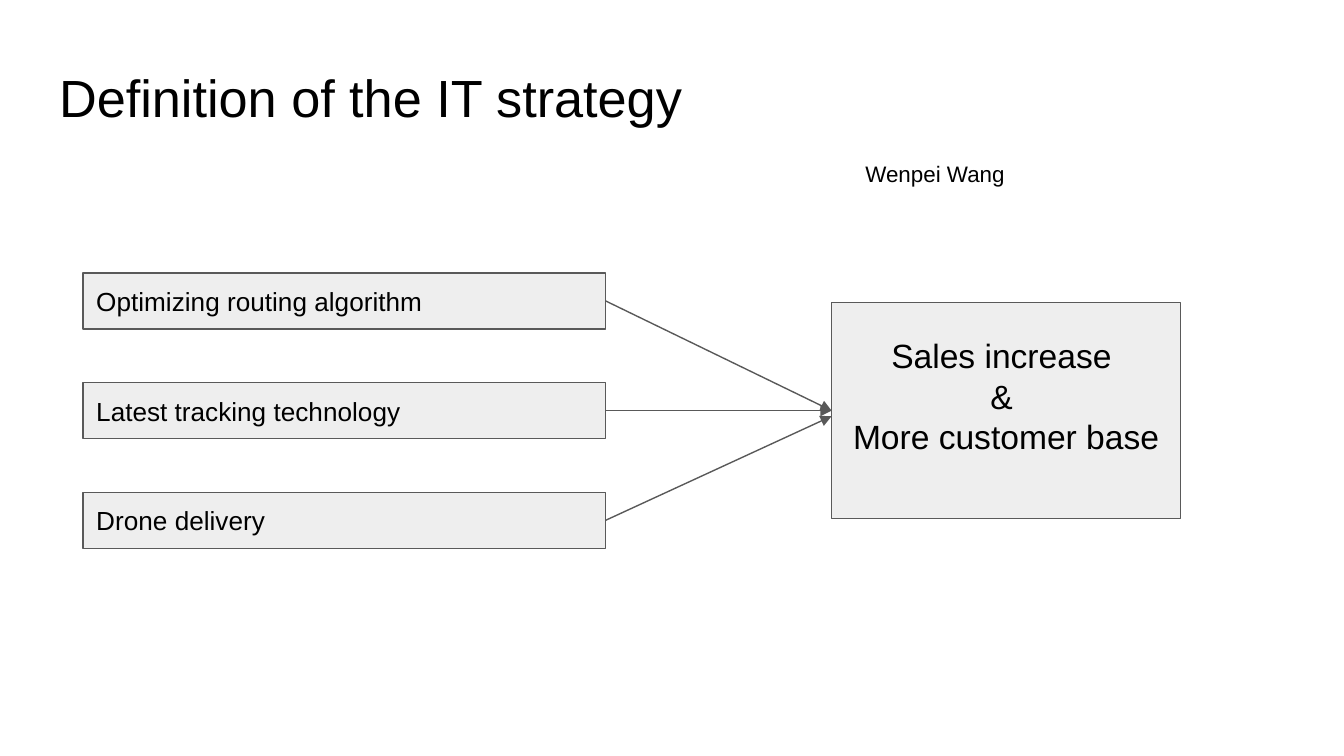
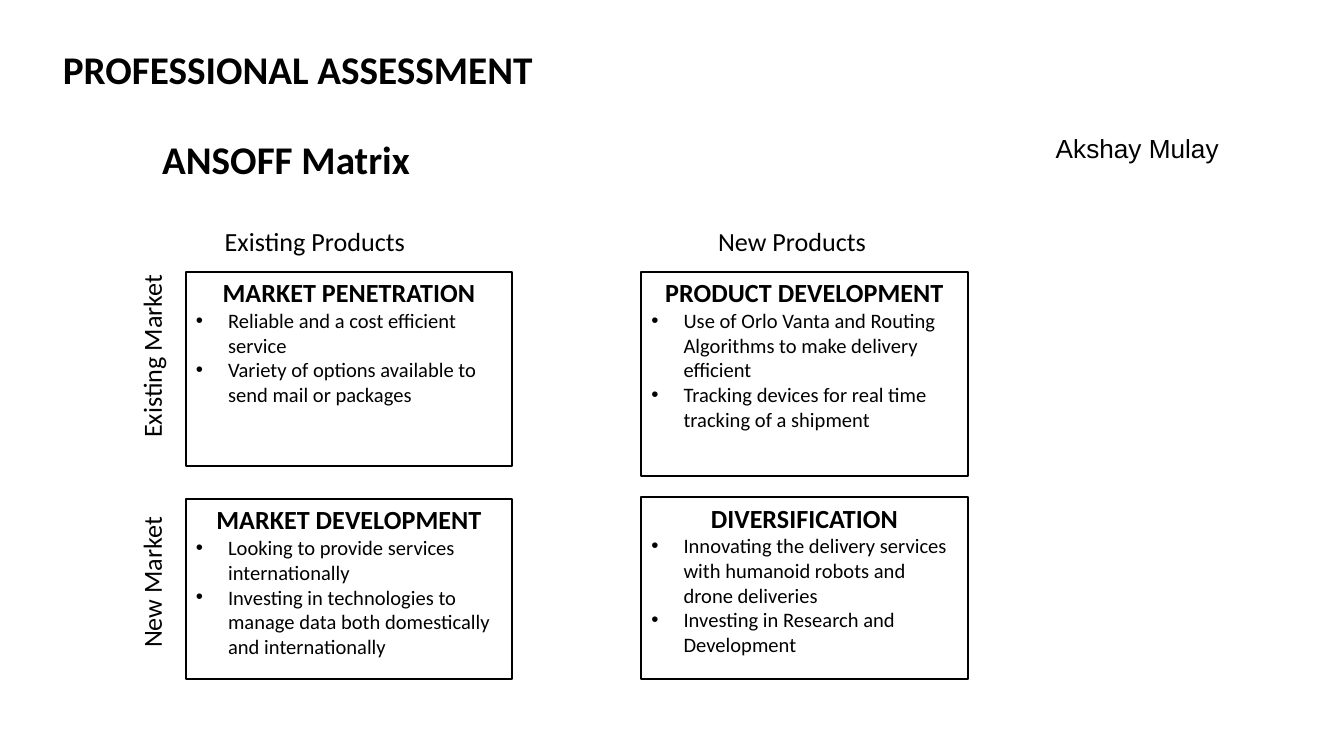
from dataclasses import dataclass

from lxml import etree
from pptx import Presentation
from pptx import util as u
from pptx.dml.color import RGBColor
from pptx.enum import shapes, text
from pptx.oxml import ns

Pt = u.Pt
LEFT, CENTER = text.PP_ALIGN.LEFT, text.PP_ALIGN.CENTER
TOP, MIDDLE, BOTTOM = text.MSO_ANCHOR.TOP, text.MSO_ANCHOR.MIDDLE, text.MSO_ANCHOR.BOTTOM
SIDE_LEFT, SIDE_RIGHT = 1, 3


@dataclass(frozen=True)
class Theme:
    ink: str = "000000"
    paper: str = "FFFFFF"
    panel: str = "EEEEEE"
    edge: str = "595959"
    sans: str = "Arial"
    humanist: str = "Calibri"
    display: float = 28
    heading: float = 21
    emphasis: float = 18
    label: float = 14
    caption: float = 12
    bullet: float = 11
    hairline: float = 0.75
    outline: float = 1
    roomy: tuple = (7.2, 7.2, 7.2, 7.2)
    tight: tuple = (5.4, 2.7, 5.4, 2.7)


THEME = Theme()


def add_child(parent, tag, **attributes):
    return etree.SubElement(parent, ns.qn(tag), attributes)


def set_bullet(para, indent=17.3):
    properties = para._p.get_or_add_pPr()
    properties.set("marL", str(Pt(indent)))
    properties.set("indent", str(-Pt(indent)))
    add_child(properties, "a:buFont", typeface=THEME.sans)
    add_child(properties, "a:buChar", char="•")


def write(frame, content, *, size, font=THEME.sans, bold=False, align=LEFT,
          spacing=1.0, bullet=False):
    para = frame.paragraphs[0]
    if para.runs:
        para = frame.add_paragraph()
    para.alignment = align
    para.line_spacing = spacing
    if bullet:
        set_bullet(para)
    span = para.add_run()
    span.text = content
    span.font.name = font
    span.font.size = Pt(size)
    span.font.bold = bold
    span.font.color.rgb = RGBColor.from_string(THEME.ink)


def prepare(frame, insets, anchor):
    frame.word_wrap = True
    frame.auto_size = text.MSO_AUTO_SIZE.NONE
    frame.vertical_anchor = anchor
    frame.margin_left, frame.margin_top, frame.margin_right, frame.margin_bottom = map(Pt, insets)
    return frame


def set_title(page, content, area, *, insets, anchor, **style):
    title = page.shapes.title
    title.left, title.top, title.width, title.height = map(Pt, area)
    write(prepare(title.text_frame, insets, anchor), content, **style)


def add_text(page, content, area, *, insets=THEME.tight, anchor=TOP, rotation=0, **style):
    box = page.shapes.add_textbox(*map(Pt, area))
    box.rotation = rotation
    write(prepare(box.text_frame, insets, anchor), content, **style)


def add_box(page, area, *, fill, line, weight, insets, anchor):
    box = page.shapes.add_shape(shapes.MSO_SHAPE.RECTANGLE, *map(Pt, area))
    box.shadow.inherit = False
    box.fill.solid()
    box.fill.fore_color.rgb = RGBColor.from_string(fill)
    box.line.color.rgb = RGBColor.from_string(line)
    box.line.width = Pt(weight)
    prepare(box.text_frame, insets, anchor)
    return box


def add_panel(page, area, lines, *, insets=THEME.roomy, **style):
    box = add_box(page, area, fill=THEME.panel, line=THEME.edge,
                  weight=THEME.hairline, insets=insets, anchor=MIDDLE)
    for line in lines:
        write(box.text_frame, line, **style)
    return box


def add_arrow(page, source, target, drop=0):
    arrow = page.shapes.add_connector(
        shapes.MSO_CONNECTOR.STRAIGHT,
        source.left + source.width, source.top + source.height // 2,
        target.left, target.top + target.height // 2 + Pt(drop))
    arrow.begin_connect(source, SIDE_RIGHT)
    if not drop:
        arrow.end_connect(target, SIDE_LEFT)
    arrow.line.color.rgb = RGBColor.from_string(THEME.edge)
    arrow.line.width = Pt(THEME.hairline)
    add_child(arrow.line._get_or_add_ln(), "a:tailEnd", type="triangle")
    add_child(arrow._element.spPr, "a:effectLst")


def add_quadrant(page, area, heading, points):
    box = add_box(page, area, fill=THEME.paper, line=THEME.ink,
                  weight=THEME.outline, insets=THEME.tight, anchor=TOP)
    write(box.text_frame, heading, size=THEME.label, font=THEME.humanist,
          bold=True, align=CENTER)
    for point in points:
        write(box.text_frame, point, size=THEME.bullet, font=THEME.humanist, bullet=True)


def build_strategy(page):
    set_title(page, "Definition of the IT strategy", (24.5, 28, 671, 45),
              insets=THEME.roomy, anchor=TOP, size=THEME.display)
    add_text(page, "Wenpei Wang", (456.5, 78.5, 120, 30),
             insets=THEME.roomy, size=THEME.caption)
    outcome = add_panel(page, (445.5, 162, 187, 116),
                        ["Sales increase ", "& ", "More customer base"],
                        insets=(7.2, 7.2, 7.2, 23.2), size=THEME.emphasis, align=CENTER)
    levers = [("Optimizing routing algorithm", 0), ("Latest tracking technology", 0),
              ("Drone delivery", 3)]
    for row, (lever, drop) in enumerate(levers):
        panel = add_panel(page, (44.5, 146.25 + 58.75 * row, 280, 30), [lever],
                          size=THEME.label)
        add_arrow(page, panel, outcome, drop)


def build_matrix(page):
    heading = dict(insets=THEME.tight, anchor=BOTTOM, size=THEME.heading,
                   font=THEME.humanist, bold=True, spacing=0.9)
    set_title(page, "PROFESSIONAL ASSESSMENT", (28.25, 11.5, 540, 41), **heading)
    add_text(page, "ANSOFF Matrix", (81.5, 59.75, 540, 41), **heading)
    add_text(page, "Akshay Mulay", (558.5, 64, 139, 22.5),
             insets=THEME.roomy, size=THEME.label)

    label = dict(size=THEME.label, font=THEME.humanist)
    add_text(page, "Existing Products", (115, 118, 144, 22), **label)
    add_text(page, "New Products", (379.25, 118, 104, 22), **label)
    for name, top in [("Existing Market", 177), ("New Market", 289.5)]:
        add_text(page, name, (29, top, 104, 22), rotation=270, **label)

    quadrants = [
        (0, 145.5, 104, "MARKET PENETRATION",
         ["Reliable and a cost efficient service",
          "Variety of options available to send mail or packages"]),
        (1, 145.5, 109.5, "PRODUCT DEVELOPMENT",
         ["Use of Orlo Vanta and Routing Algorithms to make delivery efficient",
          "Tracking devices for real time tracking of a shipment"]),
        (0, 267.25, 96.5, "MARKET DEVELOPMENT",
         ["Looking to provide services internationally",
          "Investing in technologies to manage data both domestically and internationally"]),
        (1, 266.25, 97.5, "DIVERSIFICATION",
         ["Innovating the delivery services with humanoid robots and drone deliveries",
          "Investing in Research and Development"]),
    ]
    for column, top, height, name, points in quadrants:
        add_quadrant(page, (99.5 + 244 * column, top, 175, height), name, points)


def main():
    deck = Presentation()
    deck.slide_width, deck.slide_height = Pt(720), Pt(405)
    title_only = deck.slide_layouts[5]
    for build in (build_strategy, build_matrix):
        build(deck.slides.add_slide(title_only))
    deck.save("out.pptx")


if __name__ == "__main__":
    main()
